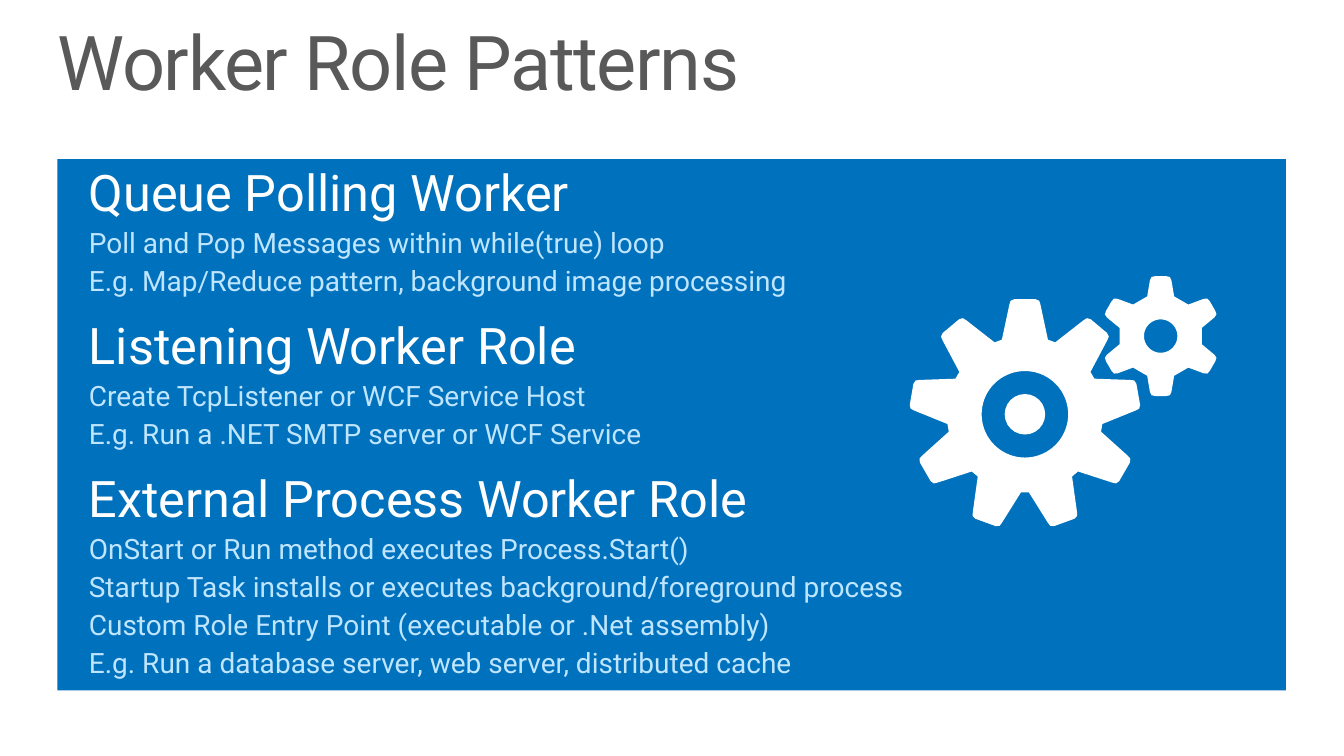
import math
from dataclasses import dataclass

import pptx
import pptx.dml.color
import pptx.enum.shapes
import pptx.enum.text
import pptx.util

FONT = "Roboto"
BLUE = "0071BC"
PALE_BLUE = "BFE5FF"
GREY = "595959"
WHITE = "FFFFFF"

Point = tuple[float, float]


@dataclass(frozen=True)
class Box:
    left: float
    top: float
    width: float
    height: float

    def lengths(self) -> list[pptx.util.Length]:
        return [pptx.util.Cm(value) for value in (self.left, self.top, self.width, self.height)]


@dataclass(frozen=True)
class Pattern:
    heading: str
    details: tuple[str, ...]


@dataclass(frozen=True)
class Gear:
    center: Point
    teeth: int
    half_tooth: tuple[Point, ...]
    hole_radius: float


PANEL = Box(1.45, 4.01, 30.96, 13.39)
TITLE = Box(1.45, 0.63, 30.96, 2.08)
BODY = Box(2.24, 4.06, 30.99, 13.69)
HUB = Box(25.32, 9.93, 1.02, 1.02)

PATTERNS = (
    Pattern("Queue Polling Worker", (
        "Poll and Pop Messages within while(true) loop",
        "E.g. Map/Reduce pattern, background image processing",
    )),
    Pattern("Listening Worker Role", (
        "Create TcpListener or WCF Service Host",
        "E.g. Run a .NET SMTP server or WCF Service",
    )),
    Pattern("External Process Worker Role", (
        "OnStart or Run method executes Process.Start()",
        "Startup Task installs or executes background/foreground process",
        "Custom Role Entry Point (executable or .Net assembly)",
        "E.g. Run a database server, web server, distributed cache",
    )),
)

GEARS = (
    Gear((25.83, 10.44), 9, ((0.58, 1.88), (0.39, 2.77), (0.36, 2.86), (0.27, 2.9)), 1.09),
    Gear((29.25, 8.47), 6, ((0.34, 1.0), (0.27, 1.41), (0.23, 1.49), (0.14, 1.51)), 0.42),
)


def color(value: str) -> pptx.dml.color.RGBColor:
    return pptx.dml.color.RGBColor.from_string(value)


def paint(shape, fill: str) -> None:
    shape.shadow.inherit = False
    shape.fill.solid()
    shape.fill.fore_color.rgb = color(fill)
    shape.line.fill.background()


def add_shape(shapes, kind, box: Box, fill: str) -> None:
    paint(shapes.add_shape(kind, *box.lengths()), fill)


def add_text_frame(slide, box: Box):
    text_frame = slide.shapes.add_textbox(*box.lengths()).text_frame
    text_frame.word_wrap = True
    text_frame.auto_size = pptx.enum.text.MSO_AUTO_SIZE.SHAPE_TO_FIT_TEXT
    text_frame.margin_left = text_frame.margin_right = 0
    text_frame.margin_top = text_frame.margin_bottom = 0
    return text_frame


def write(paragraph, text: str, size: int, text_color: str) -> None:
    paragraph.text = text
    for run in paragraph.runs:
        run.font.name = FONT
        run.font.size = pptx.util.Pt(size)
        run.font.color.rgb = color(text_color)


def add_title(slide) -> None:
    paragraph = add_text_frame(slide, TITLE).paragraphs[0]
    write(paragraph, "Worker Role Patterns", 54, GREY)
    paragraph.line_spacing = 0.9
    paragraph.runs[0].font._element.set("spc", "-100")


def add_patterns(slide) -> None:
    text_frame = add_text_frame(slide, BODY)
    for index, pattern in enumerate(PATTERNS):
        heading = text_frame.add_paragraph() if index else text_frame.paragraphs[0]
        write(heading, pattern.heading, 36, WHITE)
        if index:
            heading.space_before = pptx.util.Pt(12)
        for text in pattern.details:
            detail = text_frame.add_paragraph()
            write(detail, text, 20, PALE_BLUE)
            detail.level = 1
            detail.space_before = pptx.util.Pt(3)
            properties = detail._p.get_or_add_pPr()
            properties.set("marL", "0")
            properties.set("indent", "0")


def place(center: Point, x: float, y: float, angle: float) -> Point:
    sine, cosine = math.sin(angle), math.cos(angle)
    return (
        pptx.util.Cm(center[0] + x * cosine + y * sine),
        pptx.util.Cm(center[1] + x * sine - y * cosine),
    )


def add_gear(shapes, gear: Gear) -> None:
    tooth = [(-x, y) for x, y in gear.half_tooth] + list(reversed(gear.half_tooth))
    outline = [
        place(gear.center, x, y, math.tau * index / gear.teeth)
        for index in range(gear.teeth)
        for x, y in tooth
    ]
    steps = 72
    hole = [
        place(gear.center, 0, gear.hole_radius, -math.tau * step / steps)
        for step in range(steps)
    ]
    builder = shapes.build_freeform(*outline[0])
    builder.add_line_segments(outline[1:], close=True)
    builder.move_to(*hole[0])
    builder.add_line_segments(hole[1:], close=True)
    paint(builder.convert_to_shape(), WHITE)


def main() -> None:
    presentation = pptx.Presentation()
    presentation.slide_width = pptx.util.Cm(33.87)
    presentation.slide_height = pptx.util.Cm(19.05)
    slide = presentation.slides.add_slide(presentation.slide_layouts[6])
    add_shape(slide.shapes, pptx.enum.shapes.MSO_SHAPE.RECTANGLE, PANEL, BLUE)
    add_title(slide)
    add_patterns(slide)
    gear_group = slide.shapes.add_group_shape()
    for gear in GEARS:
        add_gear(gear_group.shapes, gear)
    add_shape(gear_group.shapes, pptx.enum.shapes.MSO_SHAPE.OVAL, HUB, WHITE)
    presentation.save("out.pptx")


if __name__ == "__main__":
    main()
